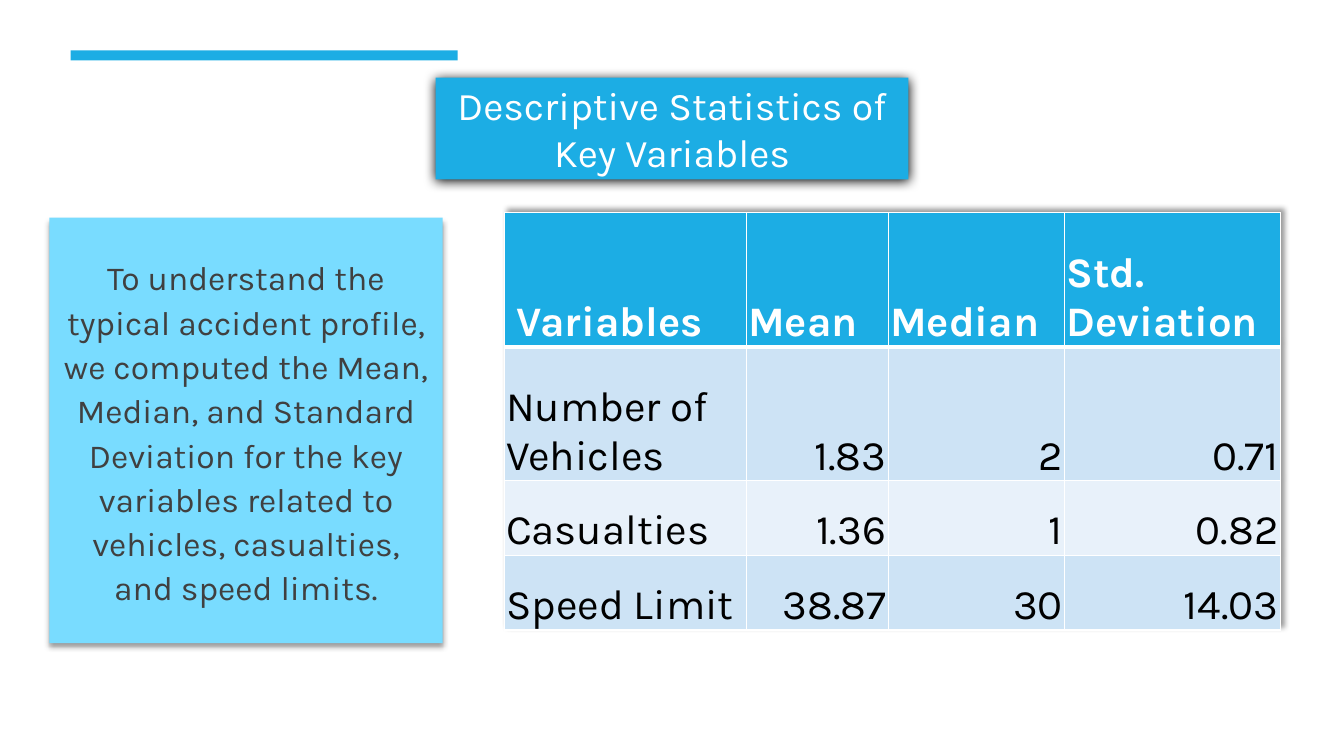
from lxml import etree
from pptx import Presentation
from pptx.dml.color import RGBColor
from pptx.enum.shapes import MSO_SHAPE
from pptx.enum.text import MSO_ANCHOR, MSO_AUTO_SIZE, PP_ALIGN
from pptx.oxml.ns import qn
from pptx.util import Pt

PX = 9144
FONT = "Karla"
BLUE, SKY, WHITE = "1CADE4", "79DCFF", "FFFFFF"
BAND_DARK, BAND_LIGHT = "CDE3F5", "E8F1FA"
BLACK, GREY = "000000", "404040"
RECT = MSO_SHAPE.RECTANGLE
MIDDLE, BOTTOM = MSO_ANCHOR.MIDDLE, MSO_ANCHOR.BOTTOM
LEFT, CENTER, RIGHT = PP_ALIGN.LEFT, PP_ALIGN.CENTER, PP_ALIGN.RIGHT
NO_AUTOFIT = MSO_AUTO_SIZE.NONE

TITLE = "Descriptive Statistics of Key Variables"
SUMMARY = (
    "To understand the typical accident profile, we computed the Mean, Median, "
    "and Standard Deviation for the key variables related to vehicles, "
    "casualties, and speed limits."
)
STATISTICS = [
    [" Variables", "Mean", "Median", "Std. Deviation"],
    ["Number of Vehicles", "1.83", "2", "0.71"],
    ["Casualties", "1.36", "1", "0.82"],
    ["Speed Limit", "38.87", "30", "14.03"],
]
COLUMN_WIDTHS = [240, 141, 175, 214]
ROW_HEIGHTS = [133, 133, 74, 74]


def px(*lengths):
    return [n * PX for n in lengths]


def rgb(color):
    return RGBColor.from_string(color)


def paint(target, color):
    target.fill.solid()
    target.fill.fore_color.rgb = rgb(color)


def write(tf, text, size, color, align=LEFT, bold=False, spacing=None, after=None):
    p = tf.paragraphs[0]
    p.alignment = align
    p.line_spacing = spacing
    p.space_after = after
    r = p.add_run()
    r.text = text
    r.font.name = FONT
    r.font.size = Pt(size)
    r.font.bold = bold
    r.font.color.rgb = rgb(color)
    return p


def shadow_effect(alpha, blur, dist, angle):
    effects = etree.Element(qn("a:effectLst"))
    shadow = etree.SubElement(
        effects, qn("a:outerShdw"), blurRad=str(Pt(blur)), dist=str(Pt(dist)),
        dir=str(angle * 60000), algn="ctr", rotWithShape="0",
    )
    color = etree.SubElement(shadow, qn("a:srgbClr"), val=BLACK)
    etree.SubElement(color, qn("a:alpha"), val=str(alpha * 1000))
    return effects


def add_bar(slide, box, color):
    sp = slide.shapes.add_shape(RECT, *px(*box))
    sp.shadow.inherit = False
    paint(sp, color)
    sp.line.fill.background()


def place_panel(sp, box, color, preset, shadow):
    sp.left, sp.top, sp.width, sp.height = px(*box)
    spPr = sp._element.spPr
    geometry = etree.SubElement(spPr, qn("a:prstGeom"), prst=preset)
    etree.SubElement(geometry, qn("a:avLst"))
    paint(sp, color)
    spPr.append(shadow)
    tf = sp.text_frame
    tf.word_wrap = True
    tf.auto_size = NO_AUTOFIT
    tf.vertical_anchor = MIDDLE
    return tf


def remove_bullet(p):
    pPr = p._p.get_or_add_pPr()
    pPr.set("marL", "0")
    pPr.set("indent", "0")
    etree.SubElement(pPr, qn("a:buNone"))


def set_borders(cell, **widths):
    tcPr = cell._tc.get_or_add_tcPr()
    for side, width in widths.items():
        ln = etree.SubElement(tcPr, qn(f"a:ln{side}"), w=str(Pt(width)))
        fill = etree.SubElement(ln, qn("a:solidFill"))
        etree.SubElement(fill, qn("a:srgbClr"), val=WHITE)


def fill_cell(cell, text, row, col):
    header = row == 0
    set_borders(cell, L=1, R=1, T=3 if row == 1 else 1, B=3 if header else 1)
    paint(cell, BLUE if header else BAND_DARK if row % 2 else BAND_LIGHT)
    cell.margin_left = cell.margin_right = cell.margin_top = 2 * PX
    cell.margin_bottom = 0
    cell.vertical_anchor = BOTTOM
    write(cell.text_frame, text, 30, WHITE if header else BLACK,
          align=LEFT if header or col == 0 else RIGHT, bold=header)


def add_statistics(slide, left, top):
    box = px(left, top, sum(COLUMN_WIDTHS), sum(ROW_HEIGHTS))
    table = slide.shapes.add_table(len(ROW_HEIGHTS), len(COLUMN_WIDTHS), *box).table
    for column, width in zip(table.columns, COLUMN_WIDTHS):
        column.width = width * PX
    for row, height in zip(table.rows, ROW_HEIGHTS):
        row.height = height * PX
    for i, values in enumerate(STATISTICS):
        for j, text in enumerate(values):
            fill_cell(table.cell(i, j), text, i, j)
    table._tbl.tblPr.insert(0, shadow_effect(40, 4, 3, 315))


def main():
    prs = Presentation()
    prs.slide_width, prs.slide_height = px(1333, 750)
    slide = prs.slides.add_slide(prs.slide_layouts[1])
    paint(slide.background, WHITE)
    add_bar(slide, (70, 50, 384, 10), BLUE)

    title, body = slide.placeholders
    tf = place_panel(body, (49, 216, 390, 422), SKY, "rect",
                     shadow_effect(40, 4, 3, 90))
    p = write(tf, SUMMARY, 24, GREY, align=CENTER, spacing=1.1, after=Pt(6))
    remove_bullet(p)
    add_statistics(slide, 500, 211)
    tf = place_panel(title, (432, 77, 469, 101), BLUE, "roundRect",
                     shadow_effect(100, 8.5, 1, 90))
    write(tf, TITLE, 28, WHITE, align=CENTER)
    prs.save("out.pptx")


if __name__ == "__main__":
    main()
